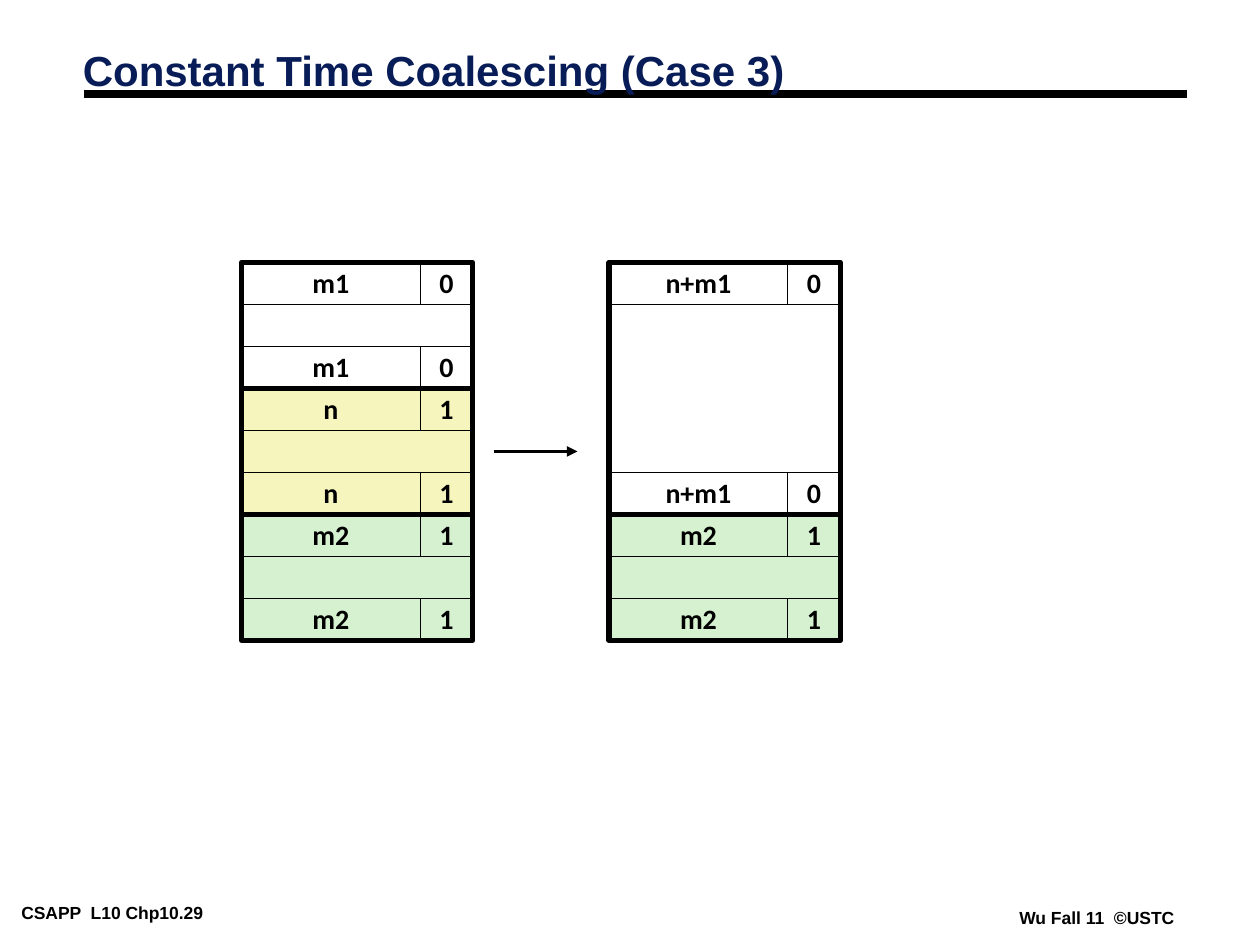
from pptx import Presentation
from pptx.dml.color import RGBColor
from pptx.enum.shapes import MSO_CONNECTOR, MSO_SHAPE
from pptx.enum.text import MSO_ANCHOR, MSO_AUTO_SIZE, PP_ALIGN
from pptx.oxml.ns import qn
from pptx.util import Cm, Pt
from lxml import etree

RECT = MSO_SHAPE.RECTANGLE
STRAIGHT = MSO_CONNECTOR.STRAIGHT
MIDDLE = MSO_ANCHOR.MIDDLE
CENTER = PP_ALIGN.CENTER
GROW = MSO_AUTO_SIZE.SHAPE_TO_FIT_TEXT

BLACK = RGBColor(0x00, 0x00, 0x00)
NAVY = RGBColor(0x08, 0x1D, 0x58)
WHITE = RGBColor(0xFF, 0xFF, 0xFF)
YELLOW = RGBColor(0xF6, 0xF5, 0xBD)
GREEN = RGBColor(0xD5, 0xF1, 0xCF)

ROW = Cm(2.54) // 3
SIZE_W = Cm(3.6)
FLAG_W = Cm(1.06)
BLOCK_W = SIZE_W + FLAG_W
HEAP_TOP = Cm(5.29)

# Each block: height in rows, size, allocated flag, fill
BEFORE = [(3, "m1", "0", WHITE), (3, "n", "1", YELLOW), (3, "m2", "1", GREEN)]
AFTER = [(6, "n+m1", "0", WHITE), (3, "m2", "1", GREEN)]


def add_run(p, text, font, size, color):
    r = p.add_run()
    r.text = text
    r.font.name = font
    r.font.size = Pt(size)
    r.font.bold = True
    r.font.color.rgb = color


def add_rect(slide, left, top, width, height, line_pt, fill=None):
    sp = slide.shapes.add_shape(RECT, left, top, width, height)
    sp.shadow.inherit = False
    if fill is None:
        sp.fill.background()
    else:
        sp.fill.solid()
        sp.fill.fore_color.rgb = fill
    sp.line.color.rgb = BLACK
    sp.line.width = Pt(line_pt)
    return sp


def add_cell(slide, left, top, width, text, fill):
    tf = add_rect(slide, left, top, width, ROW, 0.25, fill).text_frame
    tf.word_wrap = False
    tf.vertical_anchor = MIDDLE
    p = tf.paragraphs[0]
    p.alignment = CENTER
    p.line_spacing = 0.98
    add_run(p, text, "Calibri", 16, BLACK)


def add_block(slide, left, top, rows, size, flag, fill):
    """Draw header, payload and footer of one heap block, then its outline."""
    add_rect(slide, left, top + ROW, BLOCK_W, (rows - 2) * ROW, 0.25, fill)
    for tag_top in (top, top + (rows - 1) * ROW):
        add_cell(slide, left, tag_top, SIZE_W, size, fill)
        add_cell(slide, left + SIZE_W, tag_top, FLAG_W, flag, fill)
    add_rect(slide, left, top, BLOCK_W, rows * ROW, 3)


def add_heap(slide, left, blocks):
    top = HEAP_TOP
    for rows, size, flag, fill in blocks:
        add_block(slide, left, top, rows, size, flag, fill)
        top += rows * ROW


def add_line(slide, x1, x2, y, width_pt, arrow=False):
    """Draw a horizontal line, with an arrowhead at x2 if asked."""
    line = slide.shapes.add_connector(STRAIGHT, x1, y, x2, y)
    line.line.color.rgb = BLACK
    line.line.width = Pt(width_pt)
    if arrow:
        ln = line.line._get_or_add_ln()
        etree.SubElement(ln, qn("a:tailEnd"), type="triangle")
    etree.SubElement(line._element.spPr, qn("a:effectLst"))


def add_title(slide, text):
    tf = slide.shapes.add_textbox(Cm(1.42), Cm(0.91), Cm(23.29), Cm(1.14)).text_frame
    tf.word_wrap = True
    tf.vertical_anchor = MIDDLE
    p = tf.paragraphs[0]
    p.line_spacing = 0.87
    add_run(p, text, "Arial", 24, NAVY)


def add_footer(slide, left, top, width, text):
    tf = slide.shapes.add_textbox(left, top, width, Cm(0.56)).text_frame
    tf.word_wrap = False
    tf.auto_size = GROW
    tf.margin_left = tf.margin_right = Cm(0.18)
    tf.margin_top = tf.margin_bottom = Cm(0.08)
    add_run(tf.paragraphs[0], text, "Arial", 10, BLACK)


def main():
    prs = Presentation()
    prs.slide_width = Cm(25.4)
    prs.slide_height = Cm(19.05)
    slide = prs.slides.add_slide(prs.slide_layouts[6])

    add_footer(slide, Cm(0.25), Cm(18.11), Cm(5.33), "CSAPP  L10 Chp10.29")
    add_footer(slide, Cm(20.37), Cm(18.21), Cm(3.5), "Wu Fall 11  ©USTC")
    add_line(slide, Cm(1.7), Cm(23.92), Cm(1.9), 4.5)
    add_title(slide, "Constant Time Coalescing (Case 3)")

    add_heap(slide, Cm(4.87), BEFORE)
    add_heap(slide, Cm(12.28), AFTER)
    add_line(slide, Cm(9.95), Cm(11.64), Cm(9.1), 2, arrow=True)

    prs.save("out.pptx")


if __name__ == "__main__":
    main()
